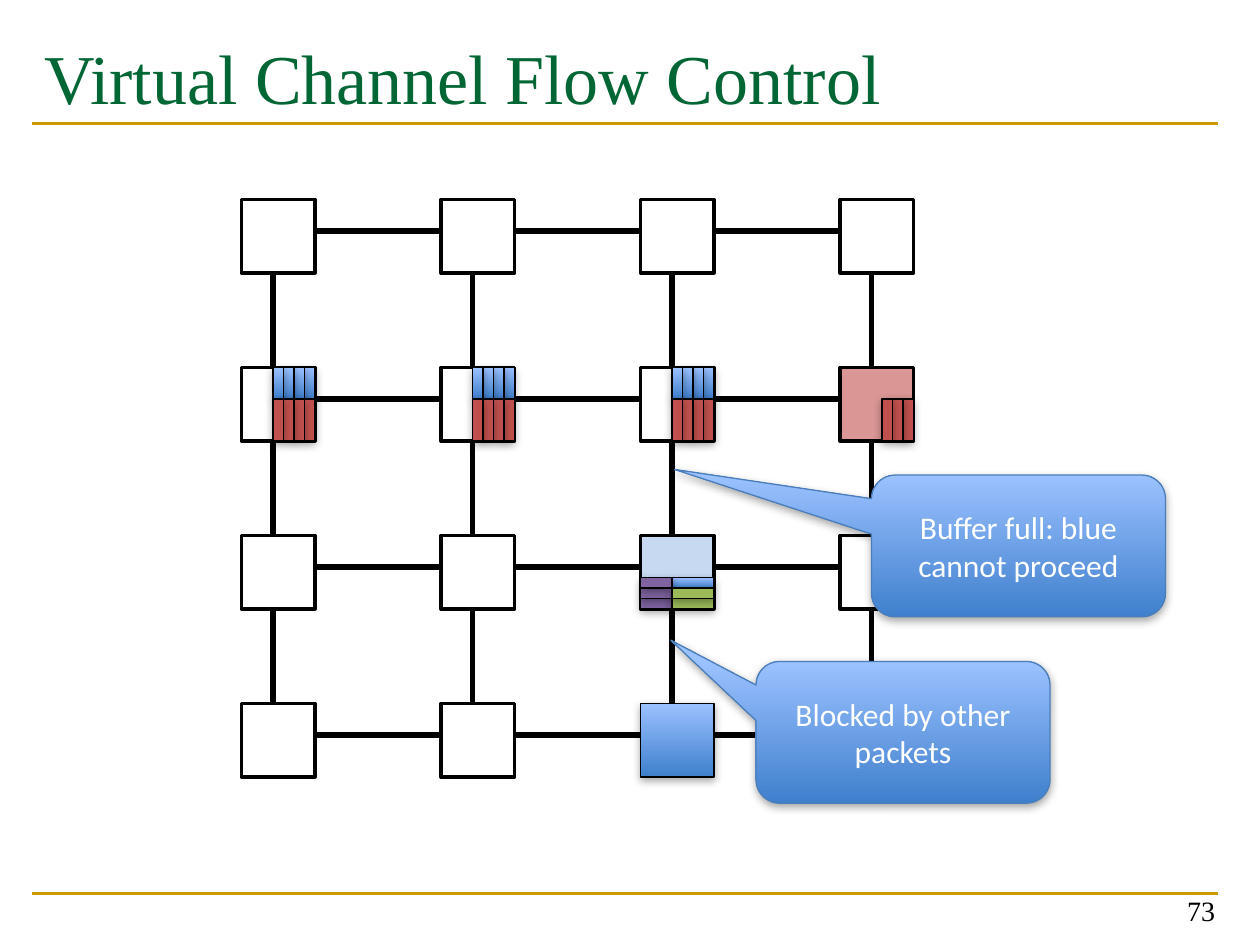
from dataclasses import dataclass

from lxml import etree
from pptx import Presentation
from pptx.dml.color import RGBColor
from pptx.enum.shapes import MSO_CONNECTOR, MSO_SHAPE
from pptx.enum.text import MSO_ANCHOR, PP_ALIGN
from pptx.oxml.ns import qn
from pptx.shapes.autoshape import Shape
from pptx.slide import Slide
from pptx.text.text import TextFrame
from pptx.util import Emu, Inches, Pt

RECTANGLE = MSO_SHAPE.RECTANGLE
CALLOUT = MSO_SHAPE.ROUNDED_RECTANGULAR_CALLOUT
STRAIGHT = MSO_CONNECTOR.STRAIGHT
TOP, MIDDLE, BOTTOM = MSO_ANCHOR.TOP, MSO_ANCHOR.MIDDLE, MSO_ANCHOR.BOTTOM
LEFT, CENTER, RIGHT = PP_ALIGN.LEFT, PP_ALIGN.CENTER, PP_ALIGN.RIGHT

BLACK = RGBColor(0x00, 0x00, 0x00)
WHITE = RGBColor(0xFF, 0xFF, 0xFF)
GOLD = RGBColor(0xCC, 0x99, 0x00)
TITLE_GREEN = RGBColor(0x00, 0x66, 0x33)
PALE_BLUE = RGBColor(0xC6, 0xD9, 0xF1)
PALE_RED = RGBColor(0xD9, 0x96, 0x94)
RED = RGBColor(0xC0, 0x50, 0x4D)
GREEN = RGBColor(0x9B, 0xBB, 0x59)
PURPLE = RGBColor(0x80, 0x64, 0xA2)
CALLOUT_EDGE = RGBColor(0x4A, 0x7E, 0xBB)
BLUE_BOTTOM = RGBColor(0x3F, 0x80, 0xCD)
BLUE_TOP = RGBColor(0x9B, 0xC1, 0xFF)


@dataclass(frozen=True)
class Gradient:
    bottom: RGBColor
    top: RGBColor


BLUE = Gradient(BLUE_BOTTOM, BLUE_TOP)
Fill = RGBColor | Gradient | None

# The drawing sits on a grid of twelfths of an inch.
UNIT = Inches(1) // 12
COLUMNS, ROWS = 4, 4
MESH_LEFT, MESH_TOP = 23, 19
COLUMN_PITCH, ROW_PITCH = 19, 16
NODE_SIZE = 7
LINK_OFFSET = 3
RULE_LEFT, RULE_RIGHT = 3, 116

SERIF, SANS = "Times New Roman", "Calibri"


@dataclass(frozen=True)
class FlitStrip:
    """A run of equal buffer slots inside one node, in grid units."""
    column: int
    row: int
    left: int
    top: int
    width: int
    height: int
    count: int
    fill: Fill
    stacked: bool = False


@dataclass(frozen=True)
class Callout:
    left: float
    top: float
    pointer: tuple[float, float]
    text: str


NODE_FILLS: dict[tuple[int, int], Fill] = {
    (3, 1): PALE_RED, (2, 2): PALE_BLUE, (2, 3): BLUE,
}
FLIT_STRIPS = [
    *(FlitStrip(column, 1, 3, 0, 1, 3, 4, BLUE) for column in range(3)),
    *(FlitStrip(column, 1, 3, 3, 1, 4, 4, RED) for column in range(3)),
    FlitStrip(3, 1, 4, 3, 1, 4, 3, RED),
    FlitStrip(2, 2, 3, 4, 4, 1, 1, BLUE),
    FlitStrip(2, 2, 0, 4, 3, 1, 3, PURPLE, stacked=True),
    FlitStrip(2, 2, 3, 5, 4, 1, 2, GREEN, stacked=True),
]
CALLOUT_WIDTH, CALLOUT_HEIGHT = 28, 13.5
CALLOUTS = [
    Callout(72, 63, (-0.79, -0.65), "Blocked by other packets"),
    Callout(83, 45.25, (-1.17, -0.54), "Buffer full: blue cannot proceed"),
]


def units(value: float) -> Emu:
    return Emu(round(value * UNIT))


def node_origin(column: int, row: int) -> tuple[int, int]:
    return MESH_LEFT + column * COLUMN_PITCH, MESH_TOP + row * ROW_PITCH


def add_line(slide: Slide, start: tuple[float, float], end: tuple[float, float],
             color: RGBColor, weight: float) -> None:
    line = slide.shapes.add_connector(STRAIGHT, *map(units, start + end))
    line.line.color.rgb = color
    line.line.width = Pt(weight)
    etree.SubElement(line._element.spPr, qn("a:effectLst"))


def add_drop_shadow(shape: Shape) -> None:
    effects = shape._element.spPr.find(qn("a:effectLst"))
    shadow = etree.SubElement(effects, qn("a:outerShdw"), blurRad=str(Pt(5)),
                              dist=str(Pt(1.8)), dir="5400000", rotWithShape="0")
    color = etree.SubElement(shadow, qn("a:srgbClr"), val=str(BLACK))
    etree.SubElement(color, qn("a:alpha"), val="35000")


def add_box(slide: Slide, kind: MSO_SHAPE, left: float, top: float, width: float,
            height: float, fill: Fill, edge: RGBColor = BLACK,
            weight: float = 0.75, raised: bool = True) -> Shape:
    shape = slide.shapes.add_shape(kind, *map(units, (left, top, width, height)))
    shape.shadow.inherit = False
    if fill is None:
        shape.fill.background()
    elif isinstance(fill, Gradient):
        shape.fill.gradient()
        shape.fill.gradient_angle = 90
        first, last = shape.fill.gradient_stops
        first.position, last.position = 0, 1
        first.color.rgb, last.color.rgb = fill.bottom, fill.top
    else:
        shape.fill.solid()
        shape.fill.fore_color.rgb = fill
    shape.line.color.rgb = edge
    shape.line.width = Pt(weight)
    if raised:
        add_drop_shadow(shape)
    return shape


def write(frame: TextFrame, text: str, font: str, size: int, color: RGBColor,
          alignment: PP_ALIGN, anchor: MSO_ANCHOR) -> None:
    frame.word_wrap = True
    frame.vertical_anchor = anchor
    paragraph = frame.paragraphs[0]
    paragraph.alignment = alignment
    run = paragraph.add_run()
    run.text = text
    run.font.name = font
    run.font.size = Pt(size)
    run.font.color.rgb = color


def add_frame(slide: Slide) -> None:
    """Add the title, the two rules and the page number."""
    for height in (11.75, 85.1):
        add_line(slide, (RULE_LEFT, height), (RULE_RIGHT, height), GOLD, 1.5)
    title = slide.shapes.title
    title.left, title.top, title.width, title.height = map(units, (3, 2, 113, 14))
    title.text_frame.margin_top = Inches(0.11)
    write(title.text_frame, "Virtual Channel Flow Control", SERIF, 40,
          TITLE_GREEN, LEFT, TOP)
    number = slide.shapes.add_textbox(*map(units, (88.9, 82.9, 28, 6)))
    write(number.text_frame, "73", SERIF, 16, BLACK, RIGHT, BOTTOM)


def add_mesh(slide: Slide) -> None:
    for row in range(ROWS):
        for column in range(COLUMNS):
            left, top = node_origin(column, row)
            across, down = left + LINK_OFFSET, top + LINK_OFFSET
            if column < COLUMNS - 1:
                add_line(slide, (left + NODE_SIZE, down),
                         (left + COLUMN_PITCH, down), BLACK, 3)
            if row < ROWS - 1:
                add_line(slide, (across, top + NODE_SIZE),
                         (across, top + ROW_PITCH), BLACK, 3)
            fill = NODE_FILLS.get((column, row))
            raised = fill is BLUE
            add_box(slide, RECTANGLE, left, top, NODE_SIZE, NODE_SIZE, fill,
                    weight=0.75 if raised else 2, raised=raised)


def add_flits(slide: Slide, strip: FlitStrip) -> None:
    """Draw the last slot first, so each shadow falls on the slot after it."""
    left, top = node_origin(strip.column, strip.row)
    for index in reversed(range(strip.count)):
        shift_x, shift_y = (0, index) if strip.stacked else (index, 0)
        add_box(slide, RECTANGLE, left + strip.left + shift_x,
                top + strip.top + shift_y, strip.width, strip.height, strip.fill)


def add_callout(slide: Slide, callout: Callout) -> None:
    shape = add_box(slide, CALLOUT, callout.left, callout.top, CALLOUT_WIDTH,
                    CALLOUT_HEIGHT, BLUE, CALLOUT_EDGE)
    shape.adjustments[0], shape.adjustments[1] = callout.pointer
    write(shape.text_frame, callout.text, SANS, 18, WHITE, CENTER, MIDDLE)


def main() -> None:
    presentation = Presentation()
    presentation.slide_width, presentation.slide_height = Inches(10), Inches(7.5)
    slide = presentation.slides.add_slide(presentation.slide_layouts[5])
    add_frame(slide)
    add_mesh(slide)
    for strip in FLIT_STRIPS:
        add_flits(slide, strip)
    for callout in CALLOUTS:
        add_callout(slide, callout)
    presentation.save("out.pptx")


if __name__ == "__main__":
    main()
